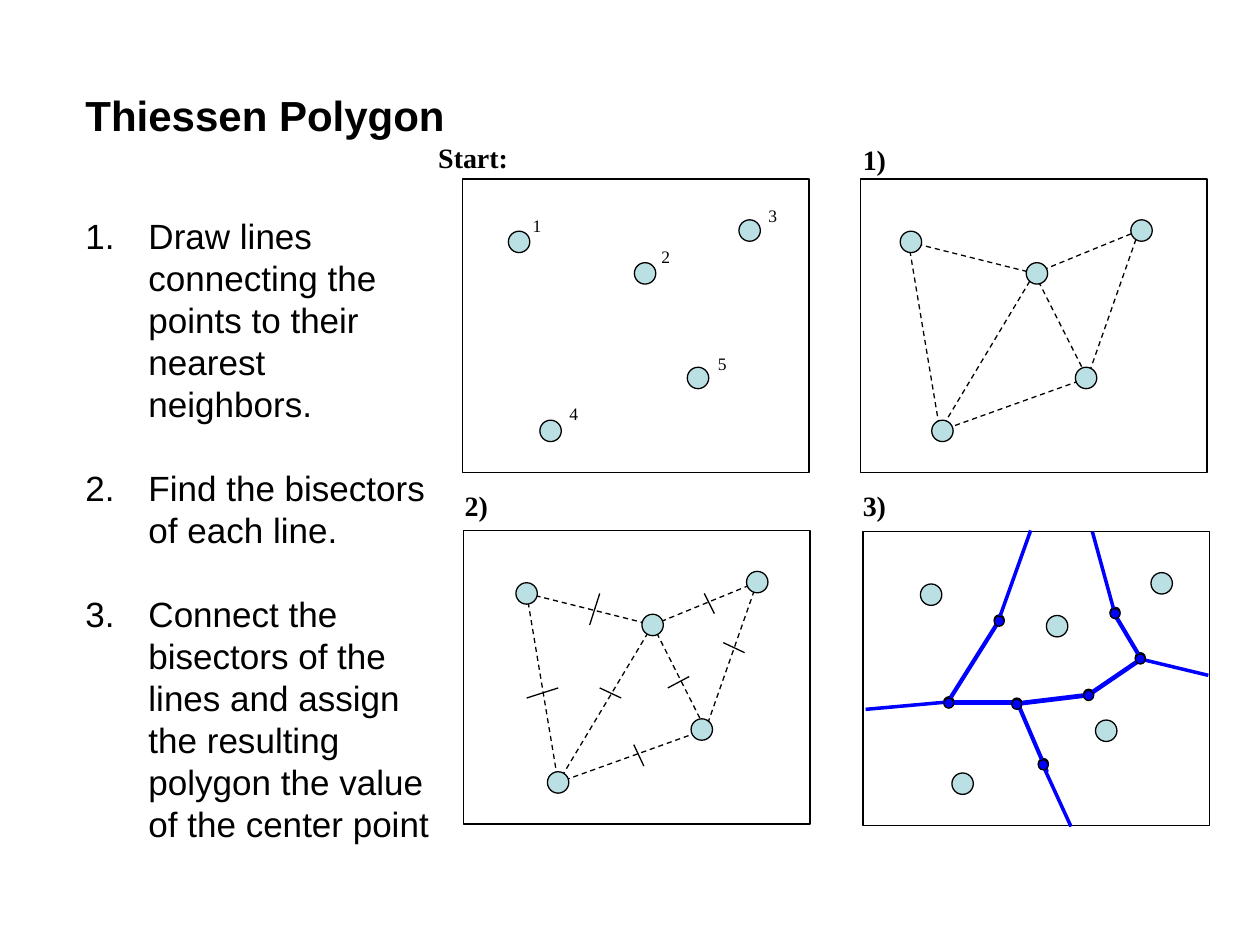
from lxml.etree import SubElement
from pptx import Presentation
from pptx.dml.color import RGBColor
from pptx.enum.dml import MSO_LINE
from pptx.enum.shapes import MSO_CONNECTOR, MSO_SHAPE
from pptx.enum.text import MSO_ANCHOR, MSO_AUTO_SIZE, PP_ALIGN
from pptx.oxml.ns import qn
from pptx.util import Inches, Pt

COLORS = {"ink": "000000", "site": "BBE0E3", "boundary": "0000FF"}
TITLE = "Thiessen Polygon"
STEPS = [
    "Draw lines connecting the points to their nearest neighbors.",
    "Find the bisectors of each line.",
    "Connect the bisectors of the lines and assign the resulting polygon "
    "the value of the center point",
]
FONTS = {
    "title": {"name": "Arial", "size": Pt(24), "bold": True},
    "step": {"name": "Arial", "size": Pt(20)},
    "caption": {"name": "Times New Roman", "size": Pt(16), "bold": True},
    "number": {"name": "Times New Roman", "size": Pt(10)},
}
CAPTIONS = [
    ("Start:", 3.33, 1.07, 0.85),
    ("1)", 6.7, 1.08, 0.48),
    ("2)", 3.54, 3.83, 0.48),
    ("3)", 6.7, 3.83, 0.48),
]
PANEL_SIZE = (2.75, 2.33)
PANELS = {
    "start": {"corner": (3.67, 1.42), "first_site": (4.12, 1.92)},
    "links": {"corner": (6.83, 1.42), "first_site": (7.23, 1.92)},
    "bisectors": {"corner": (3.68, 4.21), "first_site": (4.18, 4.71)},
    "polygons": {"corner": (6.85, 4.22), "first_site": (7.39, 4.72)},
}
LINK_ENDS = {1: (0, 0), 2: (1, 0.25), 3: (1.83, -0.09), 4: (0.25, 1.5), 5: (1.42, 1.08)}
SITES = LINK_ENDS | {5: (1.39, 1.08)}
LINKS = [(5, 4), (3, 5), (2, 5), (2, 4), (1, 2), (1, 4), (2, 3)]
NUMBERS = {1: (4.13, 1.66), 2: (5.15, 1.9), 3: (6, 1.58), 4: (4.42, 3.15), 5: (5.6, 2.75)}
BISECTORS = [
    ((4.43, 5.46), (4.18, 5.54)),
    ((4.76, 5.46), (4.93, 5.54)),
    ((5.03, 5.91), (5.11, 6.08)),
    ((5.3, 5.46), (5.47, 5.37)),
    ((4.76, 4.71), (4.68, 4.96)),
    ((5.59, 4.71), (5.67, 4.87)),
    ((5.74, 5.1), (5.91, 5.18)),
]
EDGES = [
    ((9.08, 5.21), (8.64, 5.51)),
    ((7.93, 4.92), (7.54, 5.54)),
    ((8.07, 5.57), (7.5, 5.57)),
    ((8.07, 5.56), (8.31, 6.12)),
    ((8.07, 5.58), (8.65, 5.51)),
    ((8.84, 4.86), (9.06, 5.23)),
]
RAYS = [
    ((8.18, 4.21), (7.93, 4.91)),
    ((8.67, 4.22), (8.84, 4.84)),
    ((9.05, 5.23), (9.59, 5.36)),
    ((8.28, 6.08), (8.5, 6.56)),
    ((7.54, 5.57), (6.87, 5.63)),
]
VERTICES = [(8.07, 5.58), (8.28, 6.06), (8.64, 5.51), (9.05, 5.22),
            (7.93, 4.92), (7.53, 5.57), (8.85, 4.86)]
SITE_SIZE, VERTEX_SIZE = 0.17, 0.08


def color(name):
    return RGBColor.from_string(COLORS[name])


def offset(point, shift):
    return point[0] + shift[0], point[1] + shift[1]


def add_span(para, text, style):
    span = para.add_run()
    span.text = text
    for key, value in FONTS[style].items():
        setattr(span.font, key, value)
    span.font.color.rgb = color("ink")


def add_box(shapes, left, top, width, height, wrap=False):
    box = shapes.add_textbox(*map(Inches, (left, top, width, height)))
    box.text_frame.word_wrap = wrap
    box.text_frame.auto_size = MSO_AUTO_SIZE.SHAPE_TO_FIT_TEXT
    return box.text_frame


def add_outline(shapes, preset, left, top, width, height, fill=None):
    shape = shapes.add_shape(preset, *map(Inches, (left, top, width, height)))
    shape.shadow.inherit = False
    if fill:
        shape.fill.solid()
        shape.fill.fore_color.rgb = color(fill)
    else:
        shape.fill.background()
    shape.line.color.rgb = color("ink")
    shape.line.width = Pt(0.75)


def add_dot(shapes, center, size, fill):
    left, top = offset(center, (-size / 2, -size / 2))
    add_outline(shapes, MSO_SHAPE.OVAL, left, top, size, size, fill)


def add_line(shapes, start, end, ink="ink", width=0.75, dash=None):
    line = shapes.add_connector(MSO_CONNECTOR.STRAIGHT, *map(Inches, (*start, *end)))
    line.line.color.rgb = color(ink)
    line.line.width = Pt(width)
    if dash:
        line.line.dash_style = dash
    SubElement(line._element.spPr, qn("a:effectLst"))


def add_steps(page):
    frame = add_box(page.shapes, 0.08, 1.65, 3.49, 5.1, wrap=True)
    for index, step in enumerate(STEPS):
        para = frame.add_paragraph() if index else frame.paragraphs[0]
        props = para._p.get_or_add_pPr()
        props.set("marL", str(Inches(1)))
        props.set("indent", str(Inches(-0.5)))
        SubElement(props, qn("a:buFont"), typeface="Arial")
        SubElement(props, qn("a:buAutoNum"), type="arabicPeriod")
        para.line_spacing = Pt(24)
        para.space_before = Pt(24 if index else 0)
        add_span(para, step, "step")


def add_panel(page, name):
    panel = PANELS[name]
    shapes = page.shapes.add_group_shape().shapes
    add_outline(shapes, MSO_SHAPE.RECTANGLE, *panel["corner"], *PANEL_SIZE)
    if name in ("links", "bisectors"):
        origin = offset(panel["first_site"], (-0.02 if name == "links" else 0, 0))
        for first, second in LINKS:
            add_line(shapes, offset(LINK_ENDS[first], origin),
                     offset(LINK_ENDS[second], origin), dash=MSO_LINE.DASH)
    for site in (LINK_ENDS if name == "start" else SITES).values():
        add_dot(shapes, offset(site, panel["first_site"]), SITE_SIZE, "site")
    return shapes


def add_boundaries(shapes, shift):
    for start, end in EDGES:
        add_line(shapes, offset(start, shift), offset(end, shift), "boundary", 2)
    for vertex in VERTICES:
        add_dot(shapes, offset(vertex, shift), VERTEX_SIZE, "boundary")


def main():
    deck = Presentation()
    deck.slide_width, deck.slide_height = Inches(10), Inches(7.5)
    page = deck.slides.add_slide(deck.slide_layouts[6])

    add_steps(page)
    title = add_box(page.shapes, 0.58, 0.66, 3.05, 0.5)
    title.vertical_anchor = MSO_ANCHOR.BOTTOM
    add_span(title.paragraphs[0], TITLE, "title")

    panels = {name: add_panel(page, name) for name in PANELS}
    for number, place in NUMBERS.items():
        frame = add_box(panels["start"], *place, 0.27, 0.27)
        add_span(frame.paragraphs[0], str(number), "number")
    for start, end in BISECTORS:
        add_line(panels["bisectors"], start, end)

    add_boundaries(panels["polygons"], (0, 0))
    for start, end in RAYS:
        add_line(panels["polygons"], start, end, "boundary", 2)
    add_boundaries(panels["polygons"], (0, 0.01))

    for text, left, top, width in CAPTIONS:
        para = add_box(page.shapes, left, top, width, 0.37).paragraphs[0]
        para.alignment = PP_ALIGN.CENTER
        add_span(para, text, "caption")

    deck.save("out.pptx")


if __name__ == "__main__":
    main()
